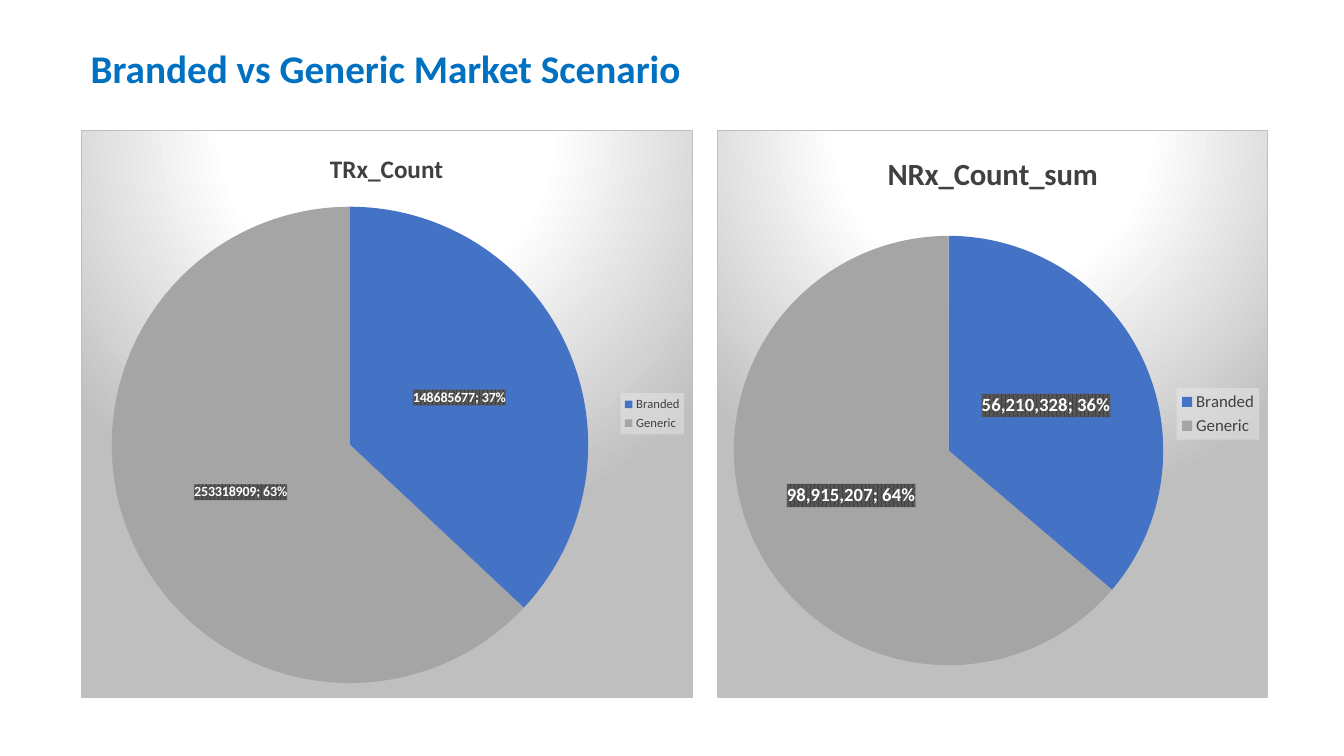
from dataclasses import dataclass

from pptx import Presentation
from pptx.chart.data import CategoryChartData
from pptx.dml.color import RGBColor
from pptx.enum.chart import XL_CHART_TYPE, XL_LABEL_POSITION, XL_LEGEND_POSITION
from pptx.enum.text import MSO_ANCHOR, PP_ALIGN
from pptx.oxml import parse_xml
from pptx.oxml.ns import nsdecls
from pptx.util import Inches, Pt

PIE = XL_CHART_TYPE.PIE
CENTER = XL_LABEL_POSITION.CENTER
RIGHT = XL_LEGEND_POSITION.RIGHT
MIDDLE = MSO_ANCHOR.MIDDLE
LEFT = PP_ALIGN.LEFT


@dataclass(frozen=True)
class Theme:
    font: str = "Calibri"
    title: str = "0070C0"
    text: str = "404040"
    label: str = "FFFFFF"
    slices: tuple = ("4472C4", "A5A5A5")
    title_size: float = 28


@dataclass(frozen=True)
class PieSpec:
    name: str
    values: tuple
    number_format: str
    title_size: float
    label_size: float
    legend_size: float
    plot: tuple


THEME = Theme()
CATEGORIES = ("Branded", "Generic")
TRX = PieSpec("TRx_Count", (148685677, 253318909), "General", 18, 10, 9,
              (0.05, 0.13, 0.78, 0.85))
NRX = PieSpec("NRx_Count_sum", (56210328, 98915207), "#,##0", 22, 13.3, 12,
              (0.03, 0.18, 0.78, 0.77))

PANEL_FILL = """<a:gradFill><a:gsLst>
<a:gs pos="0"><a:srgbClr val="FFFFFF"/></a:gs>
<a:gs pos="39000"><a:srgbClr val="FFFFFF"/></a:gs>
<a:gs pos="100000"><a:srgbClr val="BFBFBF"/></a:gs></a:gsLst>
<a:path path="circle"><a:fillToRect l="50000" t="-80000" r="50000" b="180000"/></a:path>
</a:gradFill>
<a:ln w="9525"><a:solidFill><a:srgbClr val="BFBFBF"/></a:solidFill></a:ln>"""
LABEL_FILL = """<a:pattFill prst="pct75"><a:fgClr><a:srgbClr val="404040"/></a:fgClr>
<a:bgClr><a:srgbClr val="595959"/></a:bgClr></a:pattFill>"""
LEGEND_FILL = """<a:solidFill><a:srgbClr val="F2F2F2"><a:alpha val="39000"/>
</a:srgbClr></a:solidFill>"""


def chart_xml(tag, content):
    return parse_xml(f"<c:{tag} {nsdecls('c', 'a')}>{content}</c:{tag}>")


def set_font(font, size, color, bold=False):
    font.name = THEME.font
    font.size = Pt(size)
    font.bold = bold
    font.color.rgb = RGBColor.from_string(color)


def add_title(slide, box, text):
    sp = slide.shapes.title
    sp.left, sp.top, sp.width, sp.height = box
    tf = sp.text_frame
    tf.text = text
    tf.vertical_anchor = MIDDLE
    p = tf.paragraphs[0]
    p.alignment = LEFT
    p.line_spacing = 0.9
    set_font(p.font, THEME.title_size, THEME.title, True)


def place_plot(chart, plot):
    modes = '<c:layoutTarget val="inner"/><c:xMode val="edge"/><c:yMode val="edge"/>'
    sizes = "".join(f'<c:{k} val="{v}"/>' for k, v in zip("xywh", plot))
    area = chart._chartSpace.xpath("c:chart/c:plotArea")[0]
    for layout in area.xpath("c:layout"):
        area.remove(layout)
    area.insert(0, chart_xml("layout", f"<c:manualLayout>{modes}{sizes}</c:manualLayout>"))


def style_labels(plot, spec):
    plot.has_data_labels = True
    labels = plot.data_labels
    labels.show_value = True
    labels.show_percentage = True
    labels.position = CENTER
    labels.number_format = spec.number_format
    labels.number_format_is_linked = True
    set_font(labels.font, spec.label_size, THEME.label, True)
    element = labels._element
    element.xpath("c:txPr")[0].addprevious(chart_xml("spPr", LABEL_FILL))
    separator = chart_xml("separator", "; ")
    element.xpath("c:showBubbleSize|c:showPercent")[-1].addnext(separator)


def style_legend(chart, size):
    chart.has_legend = True
    legend = chart.legend
    legend.position = RIGHT
    legend.include_in_layout = False
    set_font(legend.font, size, THEME.text)
    legend._element.xpath("c:txPr")[0].addprevious(chart_xml("spPr", LEGEND_FILL))


def add_pie(slide, box, spec):
    data = CategoryChartData(number_format=spec.number_format)
    data.categories = CATEGORIES
    data.add_series(spec.name, spec.values)
    chart = slide.shapes.add_chart(PIE, *box, data).chart
    set_font(chart.font, 10, "000000")
    chart._chartSpace.xpath("c:chart")[0].addnext(chart_xml("spPr", PANEL_FILL))
    chart.has_title = True
    tf = chart.chart_title.text_frame
    tf.text = spec.name
    set_font(tf.paragraphs[0].font, spec.title_size, THEME.text, True)
    chart.chart_title.include_in_layout = False
    plot = chart.plots[0]
    plot.vary_by_categories = True
    for i, color in enumerate(THEME.slices):
        fill = plot.series[0].points[i].format.fill
        fill.solid()
        fill.fore_color.rgb = RGBColor.from_string(color)
    style_labels(plot, spec)
    style_legend(chart, spec.legend_size)
    place_plot(chart, spec.plot)


def main():
    prs = Presentation()
    prs.slide_width, prs.slide_height = Inches(13.33), Inches(7.5)
    slide = prs.slides.add_slide(prs.slide_layouts[5])
    left, width, gap = Inches(0.8), Inches(11.78), Inches(0.24)
    top, height = Inches(1.29), Inches(5.63)
    trx_width = Inches(6.07)
    nrx_left = left + trx_width + gap
    add_title(slide, (left, Inches(0.4), width, Inches(0.61)),
              "Branded vs Generic Market Scenario")
    add_pie(slide, (nrx_left, top, left + width - nrx_left, height), NRX)
    add_pie(slide, (left, top, trx_width, height), TRX)
    prs.save("out.pptx")


if __name__ == "__main__":
    main()
